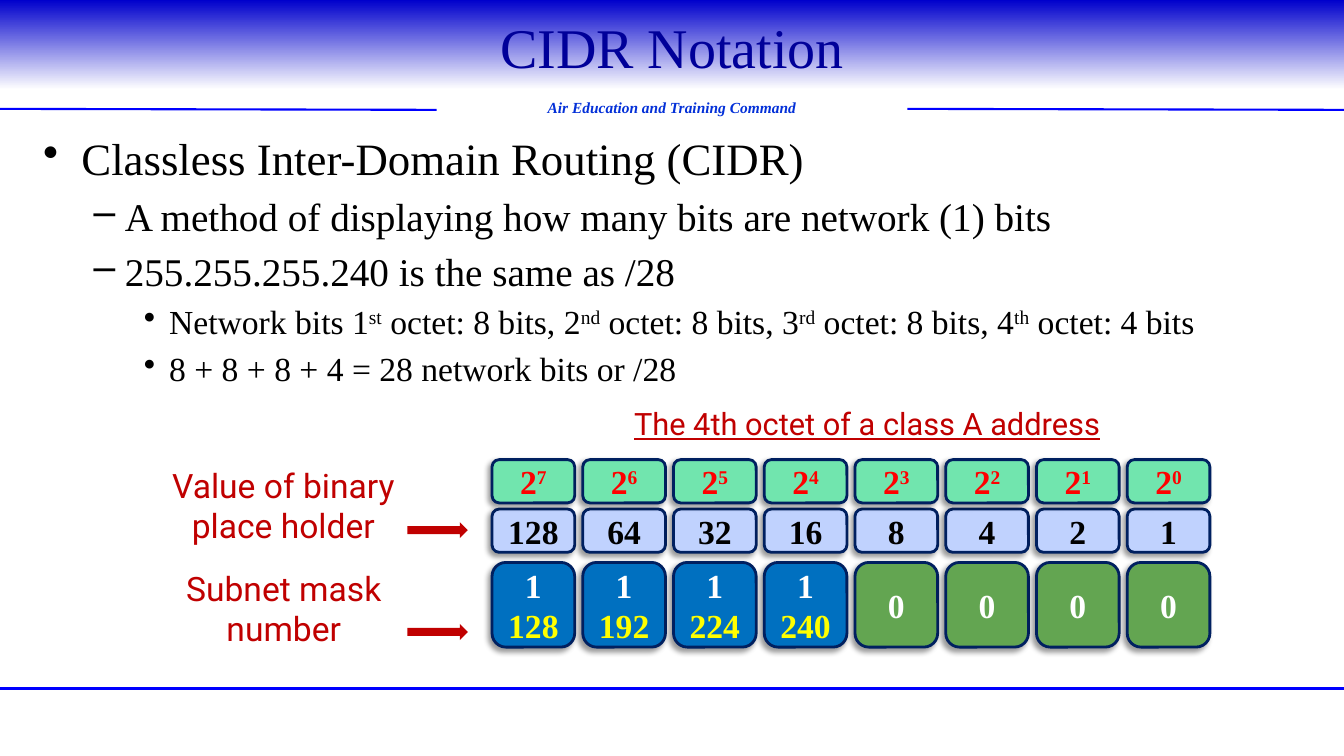
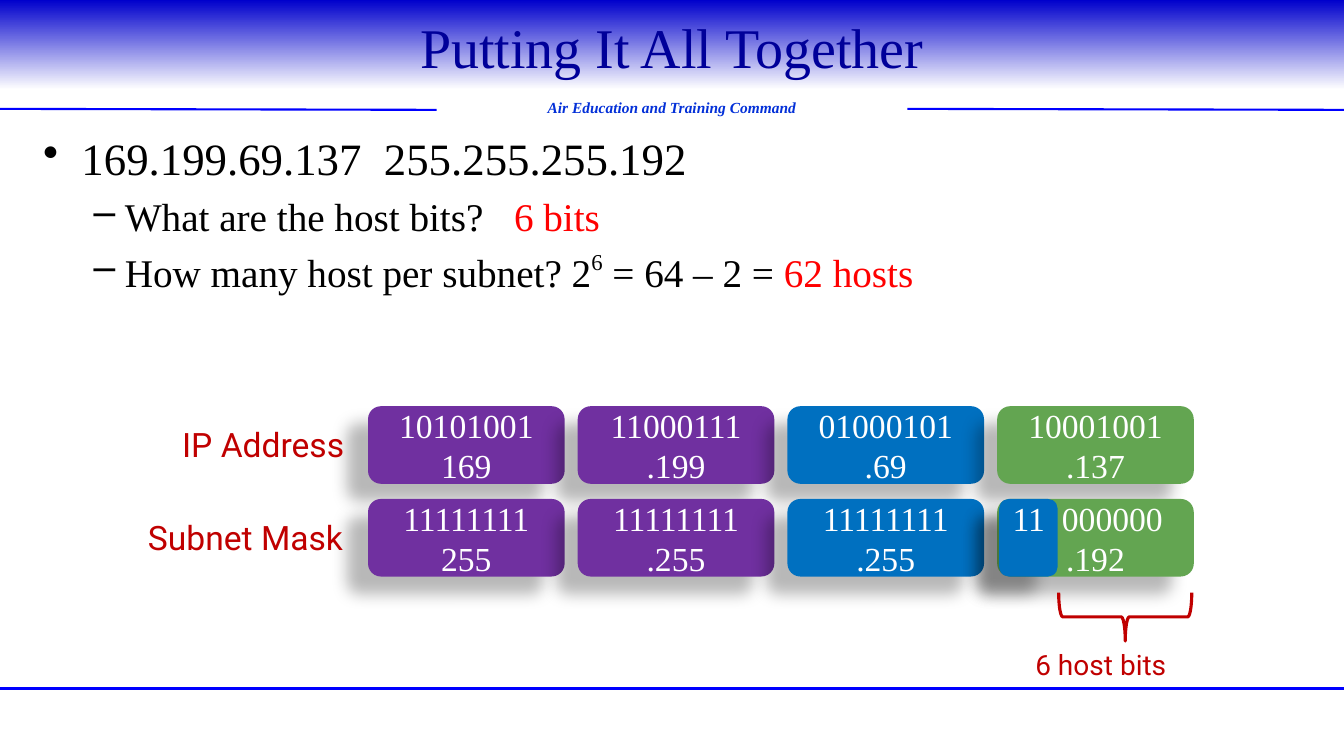
from dataclasses import dataclass

from lxml import etree
from pptx import Presentation
from pptx.dml.color import RGBColor
from pptx.enum.shapes import MSO_CONNECTOR, MSO_SHAPE as Shape
from pptx.enum.text import MSO_ANCHOR as Anchor, PP_ALIGN as Align
from pptx.oxml.ns import qn
from pptx.util import Inches, Pt


@dataclass(frozen=True)
class Theme:
    """Colours, fonts and type sizes shared by the slides."""
    serif: str = "Times New Roman"
    sans: str = "Roboto"
    band: str = "0000CC"
    rule: str = "0000FF"
    title: str = "000099"
    motto: str = "0330D8"
    black: str = "000000"
    white: str = "FFFFFF"
    red: str = "FF0000"
    label: str = "C00000"
    yellow: str = "FFFF00"
    outline: str = "002060"
    mint: str = "71E5AE"
    pale_blue: str = "C0D2FE"
    blue: str = "0070C0"
    green: str = "63A551"
    purple: str = "7030A0"
    title_size: int = 40
    body_sizes: tuple = (32, 28, 24)
    cell_size: int = 24
    heading_size: int = 22
    note_size: int = 20
    motto_size: int = 11


THEME = Theme()
LEVELS = (("•", 0.38, 0.38), ("–", 0.81, 0.31), ("•", 1.25, 0.25))
TIGHT_SHADOW = dict(alpha=40, blur=4, distance=3, angle=135)
DEEP_SHADOW = dict(alpha=28, blur=11.8, distance=19.7, angle=141)


def rgb(value):
    """Turn a hex value into a colour."""
    return RGBColor.from_string(value)


def add_runs(paragraph, text, size=24, color=THEME.black, font=THEME.serif,
             bold=False, italic=False, underline=False, raised=0, align=Align.LEFT):
    """Write a string, or a list of strings and (string, format) pairs, as runs."""
    paragraph.alignment = align
    for part in [text] if isinstance(text, str) else text:
        words, changes = (part, {}) if isinstance(part, str) else part
        run = paragraph.add_run()
        run.text = words
        run.font.size = Pt(size)
        run.font.name = font
        run.font.bold = bold
        run.font.italic = italic
        run.font.underline = underline
        run.font.color.rgb = rgb(changes.get("color", color))
        lift = changes.get("raised", raised)
        if lift:
            run.font._element.set("baseline", str(lift * 1000))


def write(frame, lines, anchor=Anchor.TOP, **look):
    """Fill a text frame with one paragraph per line."""
    frame.word_wrap = True
    frame.vertical_anchor = anchor
    for index, line in enumerate(lines):
        paragraph = frame.add_paragraph() if index else frame.paragraphs[0]
        add_runs(paragraph, line, **look)


def add_text(slide, box, lines, **look):
    """Place a text box."""
    area = slide.shapes.add_textbox(*map(Inches, box))
    write(area.text_frame, lines, **look)


def add_figure(slide, kind, box, fill=None, line=None, width=2, shadow=None):
    """Place a preset shape with its fill, line and shadow."""
    figure = slide.shapes.add_shape(kind, *map(Inches, box))
    figure.shadow.inherit = False
    if fill:
        figure.fill.solid()
        figure.fill.fore_color.rgb = rgb(fill)
    else:
        figure.fill.background()
    if line:
        figure.line.color.rgb = rgb(line)
        figure.line.width = Pt(width)
    else:
        figure.line.fill.background()
    if shadow:
        cast_shadow(figure, **shadow)
    return figure


def cast_shadow(figure, alpha, blur, distance, angle):
    """Give a shape a black outer shadow."""
    effects = figure._element.spPr.find(qn("a:effectLst"))
    outer = etree.SubElement(effects, qn("a:outerShdw"), blurRad=str(Pt(blur)),
                             dist=str(Pt(distance)), dir=str(angle * 60000),
                             algn="tr", rotWithShape="0")
    tone = etree.SubElement(outer, qn("a:srgbClr"), val=THEME.black)
    etree.SubElement(tone, qn("a:alpha"), val=str(alpha * 1000))


def add_rule(slide, start, end, width):
    """Draw a straight rule."""
    rule = slide.shapes.add_connector(MSO_CONNECTOR.STRAIGHT, *map(Inches, start + end))
    rule.line.color.rgb = rgb(THEME.rule)
    rule.line.width = Pt(width)
    etree.SubElement(rule._element.spPr, qn("a:effectLst"))


def add_frame(deck, title):
    """Start a slide with the band, rules, motto and title."""
    slide = deck.slides.add_slide(deck.slide_layouts[6])
    band = add_figure(slide, Shape.RECTANGLE, (0, 0, 13.33, 0.89))
    band.fill.gradient()
    band.fill.gradient_angle = 270
    for stop, color in zip(band.fill.gradient_stops, (THEME.band, THEME.white)):
        stop.color.rgb = rgb(color)
    add_rule(slide, (0, 6.83), (13.33, 6.83), 2)
    for left in (0, 9):
        add_rule(slide, (left, 1.08), (left + 4.33, 1.09), 1.5)
    add_text(slide, (4.33, 0.92, 4.67, 0.29), ["Air Education and Training Command"],
             size=THEME.motto_size, color=THEME.motto, bold=True, italic=True,
             align=Align.CENTER)
    add_text(slide, (1.33, 0, 10.67, 0.92), [title], anchor=Anchor.MIDDLE,
             size=THEME.title_size, color=THEME.title, align=Align.CENTER)
    return slide


def add_outline(slide, box, items):
    """Place bulleted items given as (level, text, tab stop)."""
    frame = slide.shapes.add_textbox(*map(Inches, box)).text_frame
    frame.word_wrap = True
    for index, (level, text, stop) in enumerate(items):
        paragraph = frame.add_paragraph() if index else frame.paragraphs[0]
        mark, margin, hanging = LEVELS[level]
        size = THEME.body_sizes[level]
        paragraph.level = level
        if index:
            paragraph.space_before = Pt(round(size * 0.2, 1))
        layout = paragraph._p.get_or_add_pPr()
        layout.set("marL", str(Inches(margin)))
        layout.set("indent", str(-Inches(hanging)))
        etree.SubElement(layout, qn("a:buChar"), char=mark)
        if stop:
            tabs = etree.SubElement(layout, qn("a:tabLst"))
            etree.SubElement(tabs, qn("a:tab"), pos=str(Inches(stop)), algn="l")
        paragraph.font.size = Pt(size)
        add_runs(paragraph, text, size=size)
        etree.SubElement(paragraph._p, qn("a:endParaRPr"), sz=str(size * 100))


def add_cell(slide, box, lines, fill, line=None, shadow=DEEP_SHADOW, color=THEME.white,
             align=Align.CENTER, bold=False):
    """Place a rounded cell with its text."""
    cell = add_figure(slide, Shape.ROUNDED_RECTANGLE, box, fill, line, shadow=shadow)
    write(cell.text_frame, lines, anchor=Anchor.MIDDLE, size=THEME.cell_size,
          color=color, align=align, bold=bold)
    return cell


def add_label(slide, box, lines):
    """Place a centred row label."""
    add_text(slide, box, lines, size=THEME.cell_size, color=THEME.label,
             font=THEME.sans, align=Align.CENTER)


def add_octet_grid(slide, left, top, mask):
    """Draw the powers, place values and mask bits of one octet."""
    total = 0
    for column, bit in enumerate(mask):
        power = 7 - column
        value = 2 ** power
        total += value * bit
        bit_lines = ["1", [(str(total), {"color": THEME.yellow})]] if bit else ["0"]
        rows = (
            (0.49, 0.43, [str(value)], THEME.pale_blue, THEME.black),
            (0, 0.43, [["2", (str(power), {"raised": 30})]], THEME.mint, THEME.red),
            (1.02, 0.84, bit_lines, THEME.blue if bit else THEME.green, THEME.white),
        )
        for drop, height, lines, fill, color in rows:
            add_cell(slide, (left + column * 0.9, top + drop, 0.82, height), lines, fill,
                     line=THEME.outline, shadow=TIGHT_SHADOW, color=color, bold=True)


def add_pointer(slide, left, top, width, lines, arrow_drop):
    """Place a two-line label with an arrow towards the grid."""
    add_label(slide, (left, top, width, 0.91), lines)
    add_figure(slide, Shape.RIGHT_ARROW, (4.04, top + arrow_drop, 0.6, 0.16), THEME.label)


def add_address_row(slide, left, top, octets, borrowed=0):
    """Draw four octets as bits over decimals, with borrowed bits in their own cell."""
    fills = (THEME.purple, THEME.purple, THEME.blue, THEME.green)
    for column, (octet, fill) in enumerate(zip(octets, fills)):
        decimal = f".{octet}" if column else str(octet)
        bits = f"{octet:08b}"
        split = borrowed if column == 3 else 0
        cell_left = left + column * 2.08
        cell = add_cell(slide, (cell_left, top, 1.95, 0.77), [bits[split:], decimal], fill)
        if split:
            host_bits = cell.text_frame.paragraphs[0]
            indent = Pt(split * THEME.cell_size / 2)
            host_bits._p.get_or_add_pPr().set("marL", str(indent))
            network = add_cell(slide, (cell_left + 0.02, top, 0.58, 0.77), [bits[:split]],
                               THEME.blue, align=Align.RIGHT)
            network.text_frame.margin_top = 0
            network.text_frame.margin_bottom = Inches(0.4)


def build_notation(deck):
    """Build the slide on CIDR notation."""
    slide = add_frame(deck, "CIDR Notation")
    octets = ["Network bits "]
    for number, suffix, bits in ((1, "st", 8), (2, "nd", 8), (3, "rd", 8), (4, "th", 4)):
        ending = ", " if number < 4 else ""
        octets += [str(number), (suffix, {"raised": 30}), f" octet: {bits} bits{ending}"]
    add_outline(slide, (0.33, 1.25, 12.67, 2.72), [
        (0, "Classless Inter-Domain Routing (CIDR)", None),
        (1, "A method of displaying how many bits are network (1) bits", None),
        (1, "255.255.255.240 is the same as /28", None),
        (2, octets, None),
        (2, "8 + 8 + 8 + 4 = 28 network bits or /28", None),
    ])
    add_text(slide, (6.19, 3.97, 5.25, 0.47), ["The 4th octet of a class A address"],
             size=THEME.heading_size, color=THEME.label, font=THEME.sans, underline=True)
    add_octet_grid(slide, 4.88, 4.56, (1, 1, 1, 1, 0, 0, 0, 0))
    add_pointer(slide, 1.47, 4.56, 2.68, ["Value of binary", "place holder"], 0.62)
    add_pointer(slide, 1.63, 5.58, 2.37, ["Subnet mask", "number"], 0.61)


def build_example(deck):
    """Build the worked subnet example."""
    slide = add_frame(deck, "Putting It All Together")
    red = {"color": THEME.red}
    add_outline(slide, (0.33, 1.25, 12.67, 5.5), [
        (0, "169.199.69.137\t255.255.255.192", 3.38),
        (1, ["What are the host bits?\t", ("6 bits", red)], 4.67),
        (1, ["How many host per subnet? 2", ("6", {"raised": 44}), " = 64 – 2 = ",
             ("62 hosts", red)], None),
    ])
    add_address_row(slide, 3.65, 4.03, (169, 199, 69, 137))
    add_address_row(slide, 3.65, 4.95, (255, 255, 255, 192), borrowed=2)
    add_label(slide, (1.57, 4.16, 2.08, 0.5), ["IP Address"])
    add_label(slide, (1.23, 5.08, 2.41, 0.5), ["Subnet Mask"])
    add_text(slide, (10.17, 6.37, 1.64, 0.44), ["6 host bits"],
             size=THEME.note_size, color=THEME.label, font=THEME.sans)
    brace = add_figure(slide, Shape.RIGHT_BRACE, (10.92, 5.46, 0.48, 1.32),
                       line=THEME.label, width=2.25)
    brace.rotation = 90


def main():
    """Build and save the deck."""
    deck = Presentation()
    deck.slide_width, deck.slide_height = Inches(13.33), Inches(7.5)
    build_notation(deck)
    build_example(deck)
    deck.save("out.pptx")


if __name__ == "__main__":
    main()
